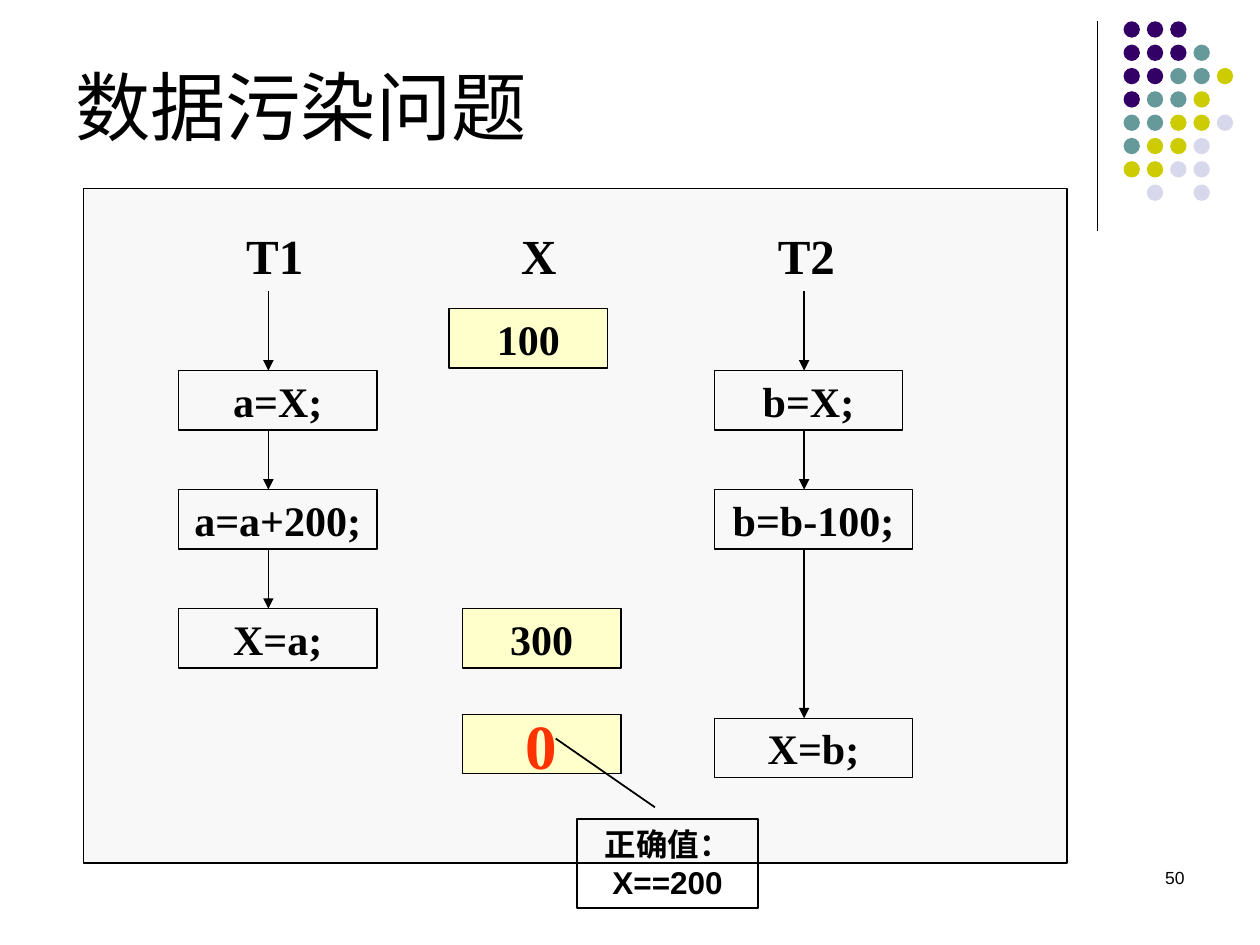
from dataclasses import dataclass

from lxml.etree import SubElement
from pptx import Presentation
from pptx.dml.color import RGBColor
from pptx.enum.shapes import MSO_CONNECTOR as Link, MSO_SHAPE as Shape
from pptx.enum.text import MSO_ANCHOR as Anchor, PP_ALIGN as Align
from pptx.oxml.ns import qn
from pptx.util import Cm, Pt


@dataclass(frozen=True)
class Theme:
    ink: str = "000000"
    panel: str = "F8F8F8"
    value: str = "FFFFCC"
    wrong: str = "FF3300"
    dots: tuple = ("330066", "669999", "CCCC00", "D8D8EC")
    sans: str = "Arial"
    serif: str = "Times New Roman"
    title: float = 43
    heading: float = 28
    step: float = 24
    result: float = 36
    note: float = 18
    number: float = 10
    hairline: float = 0.75
    note_line: float = 1


THEME = Theme()
DOT_ROWS = ("000", "0001", "00112", "0112", "11223", "1223", "2233", " 3 3")
BOX_HEIGHT = 1.2
FIRST_ROW, ROW_PITCH, LAST_ROW = 7.47, 2.4, 14.48
THREAD_START = 5.87
ARROW_INSET = 1.81


def apply(target, values):
    for name, value in values.items():
        setattr(target, name, value)


def write(shape, text, size, font=THEME.serif, color=THEME.ink, bold=True,
          align=Align.CENTER, anchor=Anchor.MIDDLE, wrap=False):
    apply(shape.text_frame, {"word_wrap": wrap, "vertical_anchor": anchor})
    paragraph = shape.text_frame.paragraphs[0]
    paragraph.alignment = align
    run = paragraph.add_run()
    run.text = text
    apply(run.font, {"size": Pt(size), "name": font, "bold": bold})
    run.font.color.rgb = RGBColor.from_string(color)


def add_label(slide, place, text, size, **style):
    label = slide.shapes.add_textbox(*map(Cm, place))
    write(label, text, size, wrap=True, **style)


def add_figure(slide, kind, place, fill=None, line=THEME.hairline):
    figure = slide.shapes.add_shape(kind, *map(Cm, place))
    figure.shadow.inherit = False
    if fill:
        figure.fill.solid()
        figure.fill.fore_color.rgb = RGBColor.from_string(fill)
    else:
        figure.fill.background()
    if line:
        figure.line.width = Pt(line)
        figure.line.color.rgb = RGBColor.from_string(THEME.ink)
    else:
        figure.line.fill.background()
    return figure


def add_vertical(slide, x, top, bottom, arrow=False):
    link = slide.shapes.add_connector(Link.STRAIGHT, *map(Cm, (x, top, x, bottom)))
    link.line.width = Pt(THEME.hairline)
    link.line.color.rgb = RGBColor.from_string(THEME.ink)
    properties = link._element.spPr
    if arrow:
        SubElement(properties.find(qn("a:ln")), qn("a:tailEnd"), type="triangle")
    SubElement(properties, qn("a:effectLst"))


def add_decoration(slide):
    left, top, pitch, diameter = 22.65, 0.43, 0.47, 0.33
    add_vertical(slide, 22.12, top, 4.65)
    for row, tones in enumerate(DOT_ROWS):
        for column, tone in enumerate(tones):
            if tone != " ":
                place = (left + column * pitch, top + row * pitch, diameter, diameter)
                add_figure(slide, Shape.OVAL, place, THEME.dots[int(tone)], line=None)


def add_thread(slide, left, steps):
    above = THREAD_START
    for text, top, width in steps:
        box = add_figure(slide, Shape.RECTANGLE, (left, top, width, BOX_HEIGHT), THEME.panel)
        write(box, text, THEME.step)
        add_vertical(slide, left + ARROW_INSET, above, top, arrow=True)
        above = top + BOX_HEIGHT


def add_value(slide, left, top, text, size=THEME.step, color=THEME.ink):
    box = add_figure(slide, Shape.RECTANGLE, (left, top, 3.2, BOX_HEIGHT), THEME.value)
    write(box, text, size, color=color)


def add_note(slide):
    note = add_figure(slide, Shape.LINE_CALLOUT_1, (11.64, 16.51, 3.64, 1.8),
                      line=THEME.note_line)
    for index, ratio in enumerate((-0.13, 0.43, -0.9, -0.12)):
        note.adjustments[index] = ratio
    write(note, "正确值：X==200", THEME.note, font=THEME.sans,
          anchor=Anchor.TOP, wrap=True)


def main():
    deck = Presentation()
    apply(deck, {"slide_width": Cm(25.4), "slide_height": Cm(19.05)})
    slide = deck.slides.add_slide(deck.slide_layouts[6])

    add_decoration(slide)
    plain = {"font": THEME.sans, "bold": False}
    add_label(slide, (23.06, 17.35, 1.07, 1.27), "50", THEME.number,
              align=Align.RIGHT, anchor=Anchor.TOP, **plain)
    add_label(slide, (1.27, 0.33, 20.96, 2.84), "数据污染问题", THEME.title,
              align=Align.LEFT, anchor=Anchor.BOTTOM, **plain)

    add_figure(slide, Shape.RECTANGLE, (1.69, 3.8, 19.82, 13.6), THEME.panel)
    for text, left, width in (("T1", 4.24, 2.6), ("T2", 15.06, 2.39), ("X", 10.06, 1.6)):
        add_label(slide, (left, 4.42, width, 1.45), text, THEME.heading, anchor=Anchor.TOP)

    rows = [FIRST_ROW + index * ROW_PITCH for index in range(3)]
    add_value(slide, 9.05, 6.22, "100")
    add_value(slide, 9.32, rows[2], "300")
    add_value(slide, 9.32, 14.4, "0", THEME.result, THEME.wrong)
    add_thread(slide, 3.6, [("a=X;", rows[0], 4), ("a=a+200;", rows[1], 4),
                            ("X=a;", rows[2], 4)])
    add_thread(slide, 14.4, [("b=X;", rows[0], 3.8), ("b=b-100;", rows[1], 4),
                             ("X=b;", LAST_ROW, 4)])
    add_note(slide)
    deck.save("out.pptx")


if __name__ == "__main__":
    main()
